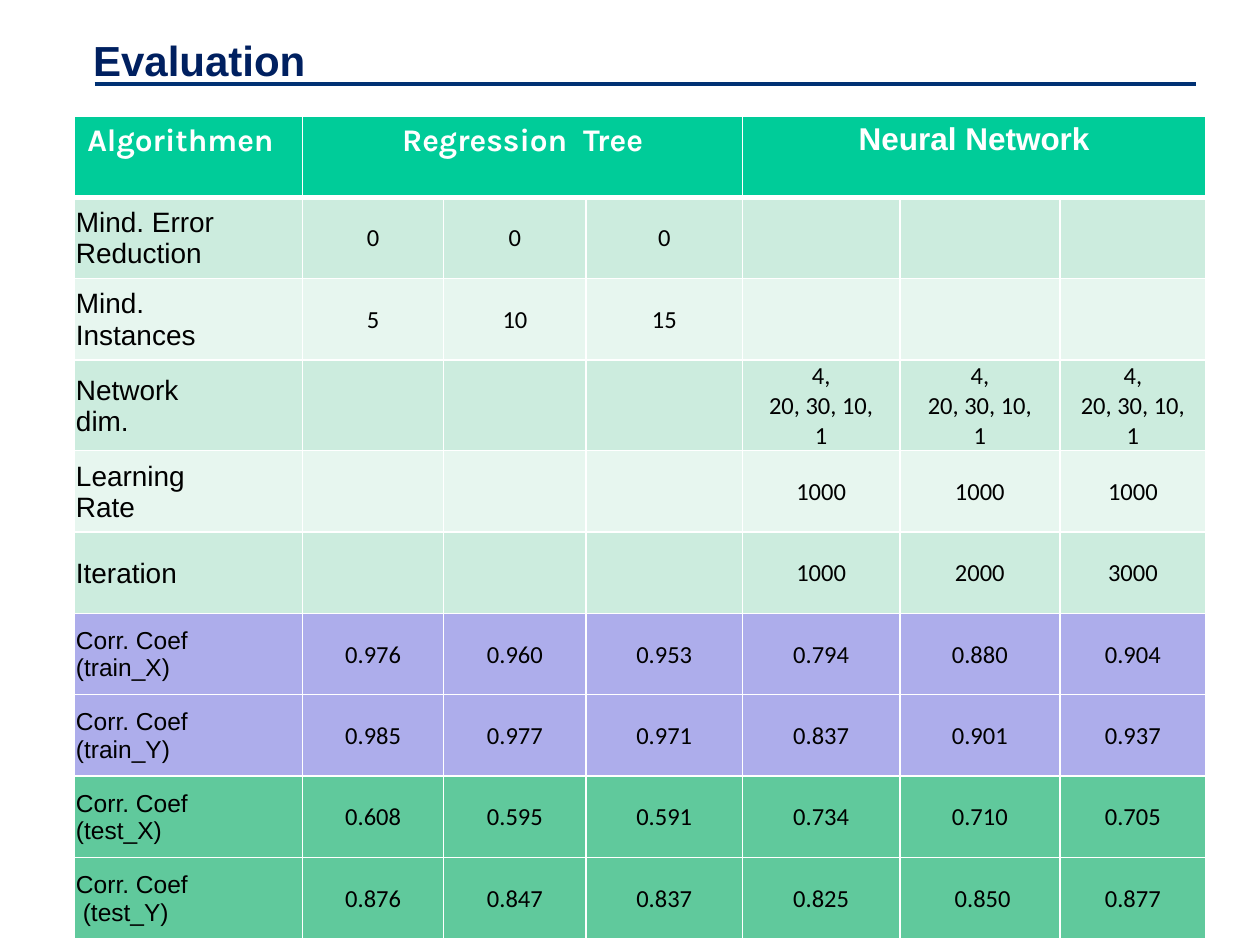
"""Build the evaluation slide comparing regression tree and neural network runs."""
import pptx
import pptx.dml.color
import pptx.enum.shapes
import pptx.enum.text
import pptx.oxml
import pptx.oxml.ns
import pptx.util

Pt = pptx.util.Pt
RGBColor = pptx.dml.color.RGBColor
Align = pptx.enum.text.PP_ALIGN
Anchor = pptx.enum.text.MSO_ANCHOR

NAVY = RGBColor(0x00, 0x20, 0x60)
RULE_BLUE = RGBColor(0x00, 0x31, 0x73)
WHITE = RGBColor(0xFF, 0xFF, 0xFF)
BLACK = RGBColor(0x00, 0x00, 0x00)
HEADER_GREEN = RGBColor(0x00, 0xCC, 0x99)
MINT = RGBColor(0xCC, 0xEC, 0xDE)
PALE_MINT = RGBColor(0xE7, 0xF6, 0xEF)
LILAC = RGBColor(0xAD, 0xAD, 0xEB)
GREEN = RGBColor(0x60, 0xC9, 0x9C)

TITLE = {"name": "Arial", "size": Pt(24), "bold": True}
KARLA_HEADER = {"name": "Karla", "size": Pt(18), "bold": True}
ARIAL_HEADER = {**KARLA_HEADER, "name": "Arial"}
PARAMETER = {"name": "Arial", "size": Pt(16), "bold": False}
MEASURE = {**PARAMETER, "size": Pt(14)}
VALUE = {**MEASURE, "name": "Calibri"}
TIGHT = {"margin_left": Pt(0.75), "margin_top": Pt(0.75),
         "margin_right": Pt(0.75), "margin_bottom": 0,
         "vertical_anchor": Anchor.MIDDLE}

COLUMN_WIDTHS = [130.3, 80.6, 81.4, 89.3, 90, 91.4, 83.5]
ROW_HEIGHT = 46.5
BLANK = [""] * 3
LAYERS = "4,\n20, 30, 10,\n1"
HEADERS = [(0, 0, "Algorithmen", KARLA_HEADER, Align.LEFT),
           (1, 3, "Regression  Tree", KARLA_HEADER, Align.CENTER),
           (4, 6, "Neural Network", ARIAL_HEADER, Align.CENTER)]
ROWS = [
    ("Mind. Error\nReduction", PARAMETER, MINT, ["0"] * 3 + BLANK),
    ("Mind.\nInstances", PARAMETER, PALE_MINT, ["5", "10", "15"] + BLANK),
    ("Network\ndim.", PARAMETER, MINT, BLANK + [LAYERS] * 3),
    ("Learning\nRate", PARAMETER, PALE_MINT, BLANK + ["1000"] * 3),
    ("Iteration", PARAMETER, MINT, BLANK + ["1000", "2000", "3000"]),
    ("Corr. Coef\n(train_X)", MEASURE, LILAC,
     ["0.976", "0.960", "0.953", "0.794", "0.880", "0.904"]),
    ("Corr. Coef\n(train_Y)", MEASURE, LILAC,
     ["0.985", "0.977", "0.971", "0.837", "0.901", "0.937"]),
    ("Corr. Coef\n(test_X)", MEASURE, GREEN,
     ["0.608", "0.595", "0.591", "0.734", "0.710", "0.705"]),
    ("Corr. Coef\n (test_Y)", MEASURE, GREEN,
     ["0.876", "0.847", "0.837", "0.825", " 0.850", "0.877"]),
]


def apply(target, values):
    for key, value in values.items():
        setattr(target, key, value)


class EvaluationSlide:
    def __init__(self, deck):
        self.slide = deck.slides.add_slide(deck.slide_layouts[5])

    def set_text(self, frame, text, style, color, alignment):
        frame.text = text
        for paragraph in frame.paragraphs:
            paragraph.alignment = alignment
            for run in paragraph.runs:
                apply(run.font, style)
                run.font.color.rgb = color

    def title(self, text, left, top, width, height):
        heading = self.slide.shapes.title
        apply(heading, {"left": Pt(left), "top": Pt(top),
                        "width": Pt(width), "height": Pt(height)})
        apply(heading.text_frame, {"vertical_anchor": Anchor.TOP,
                                   "word_wrap": True})
        self.set_text(heading.text_frame, text, TITLE, NAVY, Align.LEFT)

    def rule(self, left, right, y):
        underline = self.slide.shapes.add_connector(
            pptx.enum.shapes.MSO_CONNECTOR.STRAIGHT,
            Pt(left), Pt(y), Pt(right), Pt(y))
        underline.line.color.rgb = RULE_BLUE
        underline.line.width = Pt(2.25)
        properties = underline._element.spPr
        properties.append(pptx.oxml.parse_xml(
            f"<a:effectLst {pptx.oxml.ns.nsdecls('a')}/>"))

    def paint(self, cell, fill, top=1, bottom=1):
        properties = cell._tc.get_or_add_tcPr()
        for side, width in zip("LRTB", (1, 1, top, bottom)):
            properties.append(pptx.oxml.parse_xml(
                f"<a:ln{side} {pptx.oxml.ns.nsdecls('a')} w='{Pt(width)}'>"
                f"<a:solidFill><a:srgbClr val='{WHITE}'/></a:solidFill>"
                f"</a:ln{side}>"))
        cell.fill.solid()
        cell.fill.fore_color.rgb = fill

    def results(self, left, top):
        table = self.slide.shapes.add_table(
            len(ROWS) + 1, len(COLUMN_WIDTHS), Pt(left), Pt(top),
            Pt(sum(COLUMN_WIDTHS)), Pt(ROW_HEIGHT * (len(ROWS) + 1))).table
        table.horz_banding = False
        for column, width in zip(table.columns, COLUMN_WIDTHS):
            column.width = Pt(width)
        for row in table.rows:
            row.height = Pt(ROW_HEIGHT)
        for column in range(len(COLUMN_WIDTHS)):
            self.paint(table.cell(0, column), HEADER_GREEN, bottom=3)
        for first, last, text, style, alignment in HEADERS:
            header = table.cell(0, first)
            if last > first:
                header.merge(table.cell(0, last))
            self.set_text(header.text_frame, text, style, WHITE, alignment)
        for number, (label, label_style, fill, values) in enumerate(ROWS, 1):
            for column, text in enumerate([label] + values):
                cell = table.cell(number, column)
                self.paint(cell, fill, top=3 if number == 1 else 1)
                apply(cell, TIGHT)
                style, alignment = ((VALUE, Align.CENTER) if column
                                    else (label_style, Align.LEFT))
                self.set_text(cell.text_frame, text, style, BLACK, alignment)


def main():
    deck = pptx.Presentation()
    apply(deck, {"slide_width": Pt(720), "slide_height": Pt(540)})
    evaluation = EvaluationSlide(deck)
    evaluation.rule(54, 683.3, 48)
    evaluation.title("Evaluation", 46, 16, 648, 62)
    evaluation.results(42.7, 66.2)
    deck.save("out.pptx")


if __name__ == "__main__":
    main()
